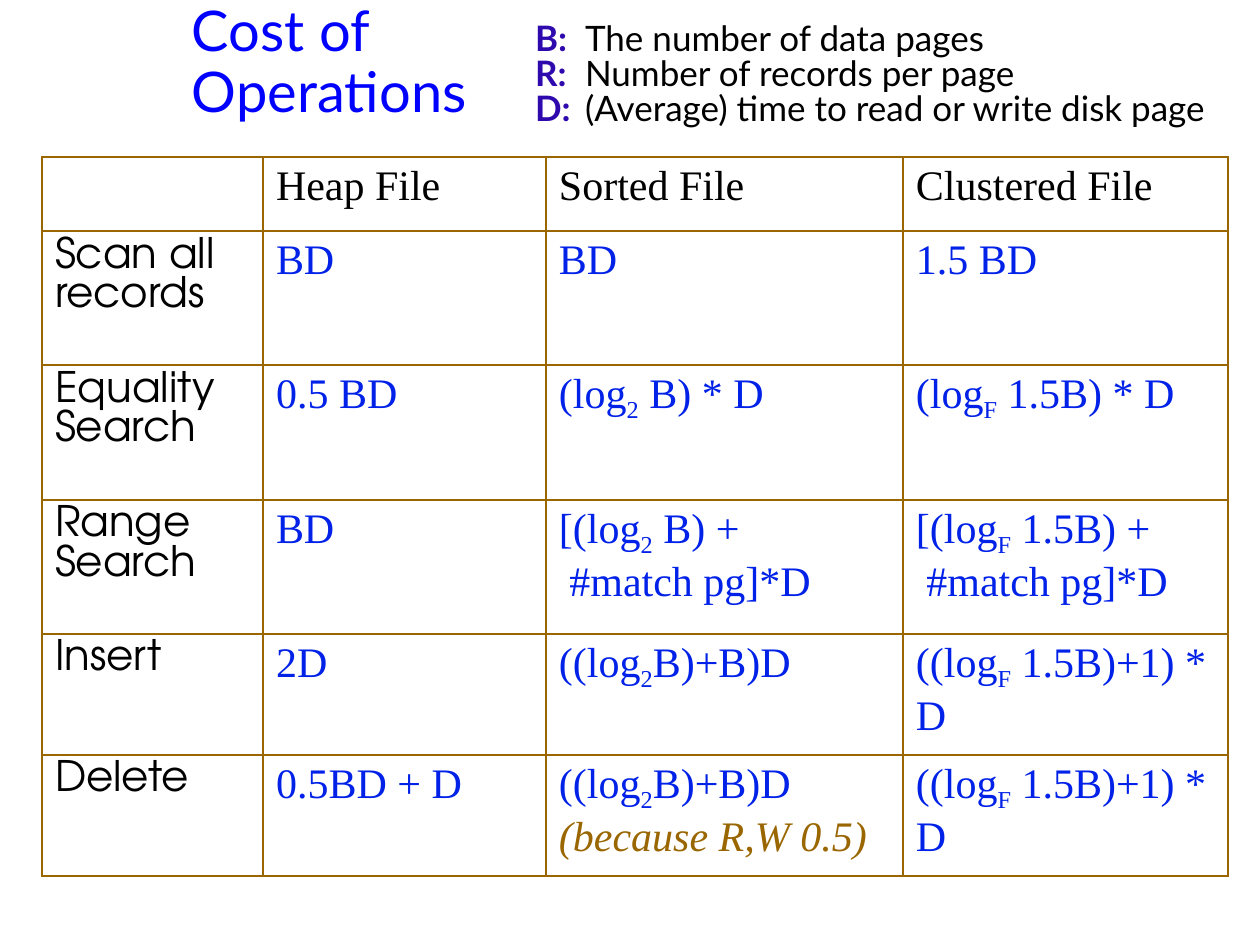
from dataclasses import dataclass

from lxml.etree import SubElement
from pptx import Presentation
from pptx.dml.color import RGBColor
from pptx.enum.text import MSO_ANCHOR
from pptx.oxml.ns import qn
from pptx.util import Emu, Pt


@dataclass(frozen=True)
class Theme:
    title: str = "0000FF"
    symbol: str = "2E09AE"
    ink: str = "000000"
    cost: str = "0021E8"
    accent: str = "996600"
    paper: str = "FFFFFF"
    sans: str = "Lato"
    label: str = "TeX Gyre Adventor"
    serif: str = "Times New Roman"
    title_size: int = 32
    title_end_size: int = 40
    legend_size: int = 20
    table_size: int = 24
    legend_line: int = 10
    border: float = 1.08


THEME = Theme()
LEGEND = [
    ("B:", "The number of data pages"),
    ("R:", "Number of records per page"),
    ("D:", "(Average) time to read or write disk page"),
]
FILE_TYPES = ["Heap File", "Sorted File", "Clustered File"]
COLUMN_WIDTHS = [221, 283, 357, 325]
ROW_HEIGHTS = [74, 134, 135, 134, 121, 121]
BECAUSE = "(because R,W 0.5)"
COSTS = [
    ("Scan all records", ["BD"], ["BD"], ["1.5 BD"]),
    ("Equality Search", ["0.5 BD"], ["(log", "2", " B) * D"], ["(log", "F", " 1.5B) * D"]),
    ("Range Search", ["BD"], ["[(log", "2", " B) +\n #match pg]*D"],
     ["[(log", "F", " 1.5B) +\n #match pg]*D"]),
    ("Insert", ["2D"], ["((log", "2", "B)+B)D"], ["((log", "F", " 1.5B)+1) * D"]),
    ("Delete", ["0.5BD + D"], ["((log", "2", "B)+B)D ", BECAUSE],
     ["((log", "F", " 1.5B)+1) * D"]),
]


def px(length):
    return Emu(round(length * 914400 / 126))


def add_run(paragraph, text, font, size, color, bold=False, italic=False, baseline=0):
    for index, line in enumerate(text.split("\n")):
        if index:
            paragraph.add_line_break()
        run = paragraph.add_run()
        run.text = line
        run.font.name = font
        run.font.size = Pt(size)
        run.font.color.rgb = RGBColor.from_string(color)
        run.font.bold = bold
        run.font.italic = italic
        if baseline:
            run.font._element.set("baseline", str(baseline))


def add_text_frame(slide, left, top, width, height, inset_left=13, inset_top=6):
    frame = slide.shapes.add_textbox(px(left), px(top), px(width), px(height)).text_frame
    frame.word_wrap = True
    frame.margin_left, frame.margin_top = px(inset_left), px(inset_top)
    frame.margin_right, frame.margin_bottom = px(13), px(6)
    return frame


def add_title(slide):
    frame = add_text_frame(slide, 179, 0, 358, 136)
    frame.vertical_anchor = MSO_ANCHOR.MIDDLE
    heading = frame.paragraphs[0]
    heading.line_spacing = 0.75
    add_run(heading, "Cost of Operations", THEME.sans, THEME.title_size, THEME.title)
    add_run(heading, " ", THEME.sans, THEME.title_end_size, THEME.title)


def add_legend(slide):
    frame = add_text_frame(slide, 459, 0, 814, 170, inset_left=76, inset_top=41)
    for index, (symbol, meaning) in enumerate(LEGEND):
        entry = frame.add_paragraph() if index else frame.paragraphs[0]
        entry.line_spacing = Pt(THEME.legend_line)
        entry.space_before = Pt(THEME.legend_line if index else 0)
        stops = SubElement(entry._p.get_or_add_pPr(), qn("a:tabLst"))
        SubElement(stops, qn("a:tab"), pos=str(px(50)), algn="l")
        add_run(entry, symbol + "\t", THEME.sans, THEME.legend_size, THEME.symbol, bold=True)
        add_run(entry, meaning, THEME.sans, THEME.legend_size, THEME.ink)


def style_cell(cell):
    properties = cell._tc.get_or_add_tcPr()
    for side in ("lnL", "lnR", "lnT", "lnB"):
        border = SubElement(properties, qn(f"a:{side}"), w=str(Pt(THEME.border)))
        fill = SubElement(border, qn("a:solidFill"))
        SubElement(fill, qn("a:srgbClr"), val=THEME.accent)
    cell.fill.solid()
    cell.fill.fore_color.rgb = RGBColor.from_string(THEME.paper)
    cell.margin_left = cell.margin_right = px(13)
    cell.margin_top = cell.margin_bottom = px(6)


def write_name(cell, name, font):
    add_run(cell.text_frame.paragraphs[0], name, font, THEME.table_size, THEME.ink)


def write_cost(cell, parts):
    formula = cell.text_frame.paragraphs[0]
    for index, part in enumerate(parts):
        remark = part == BECAUSE
        add_run(formula, part, THEME.serif, THEME.table_size,
                THEME.accent if remark else THEME.cost,
                italic=remark, baseline=-25000 if index == 1 else 0)


def add_cost_table(slide):
    table = slide.shapes.add_table(
        len(ROW_HEIGHTS), len(COLUMN_WIDTHS), px(42), px(157),
        px(sum(COLUMN_WIDTHS)), px(sum(ROW_HEIGHTS))).table
    table.first_row = table.horz_banding = False
    for column, width in zip(table.columns, COLUMN_WIDTHS):
        column.width = px(width)
    for row, height in zip(table.rows, ROW_HEIGHTS):
        row.height = px(height)
    for cell in table.iter_cells():
        style_cell(cell)
    for column, file_type in enumerate(FILE_TYPES, 1):
        write_name(table.cell(0, column), file_type, THEME.serif)
    for row, (operation, *costs) in enumerate(COSTS, 1):
        write_name(table.cell(row, 0), operation, THEME.label)
        for column, parts in enumerate(costs, 1):
            write_cost(table.cell(row, column), parts)


def main():
    deck = Presentation()
    deck.slide_width, deck.slide_height = px(1260), px(945)
    slide = deck.slides.add_slide(deck.slide_layouts[6])
    add_title(slide)
    add_legend(slide)
    add_cost_table(slide)
    deck.save("out.pptx")


if __name__ == "__main__":
    main()
